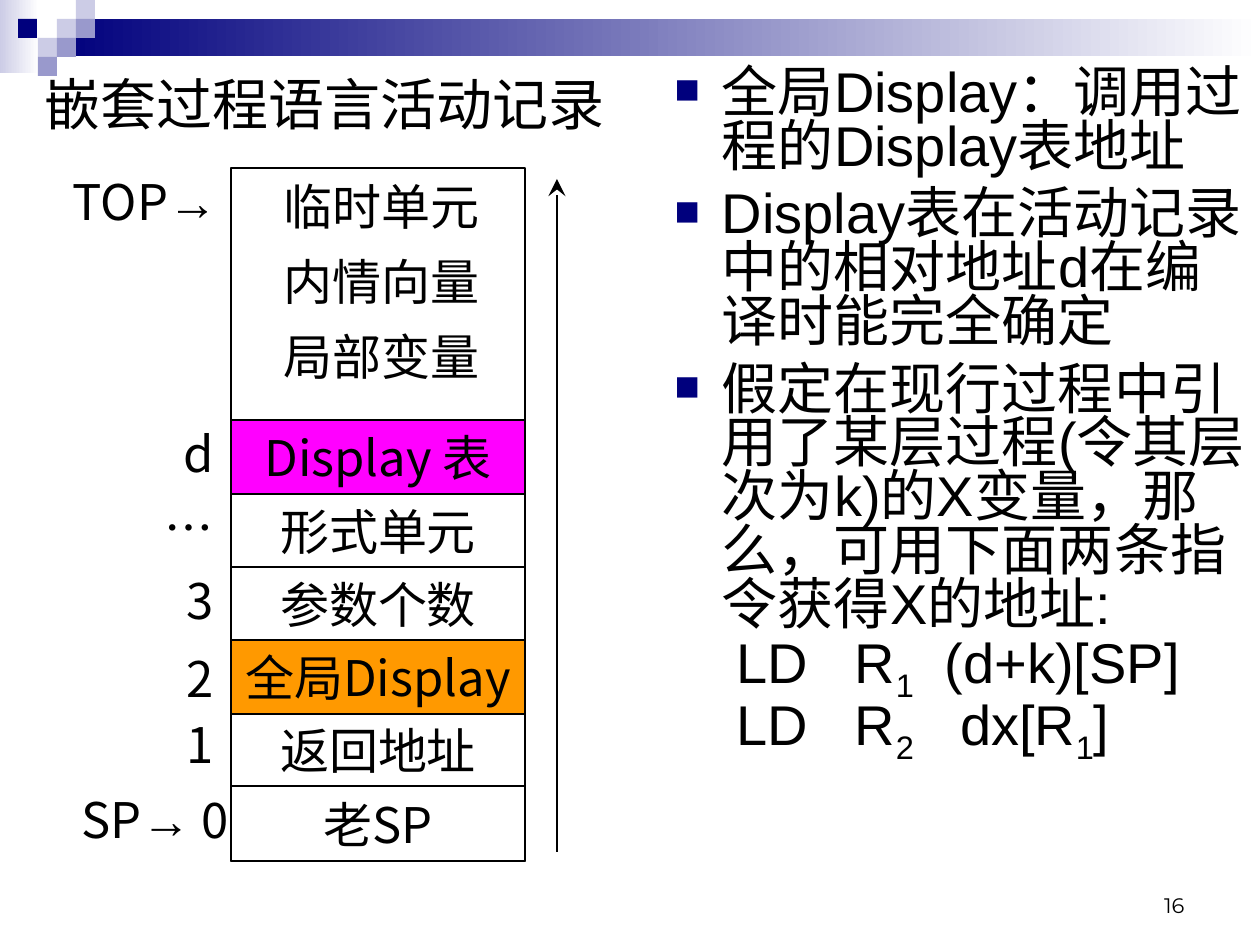
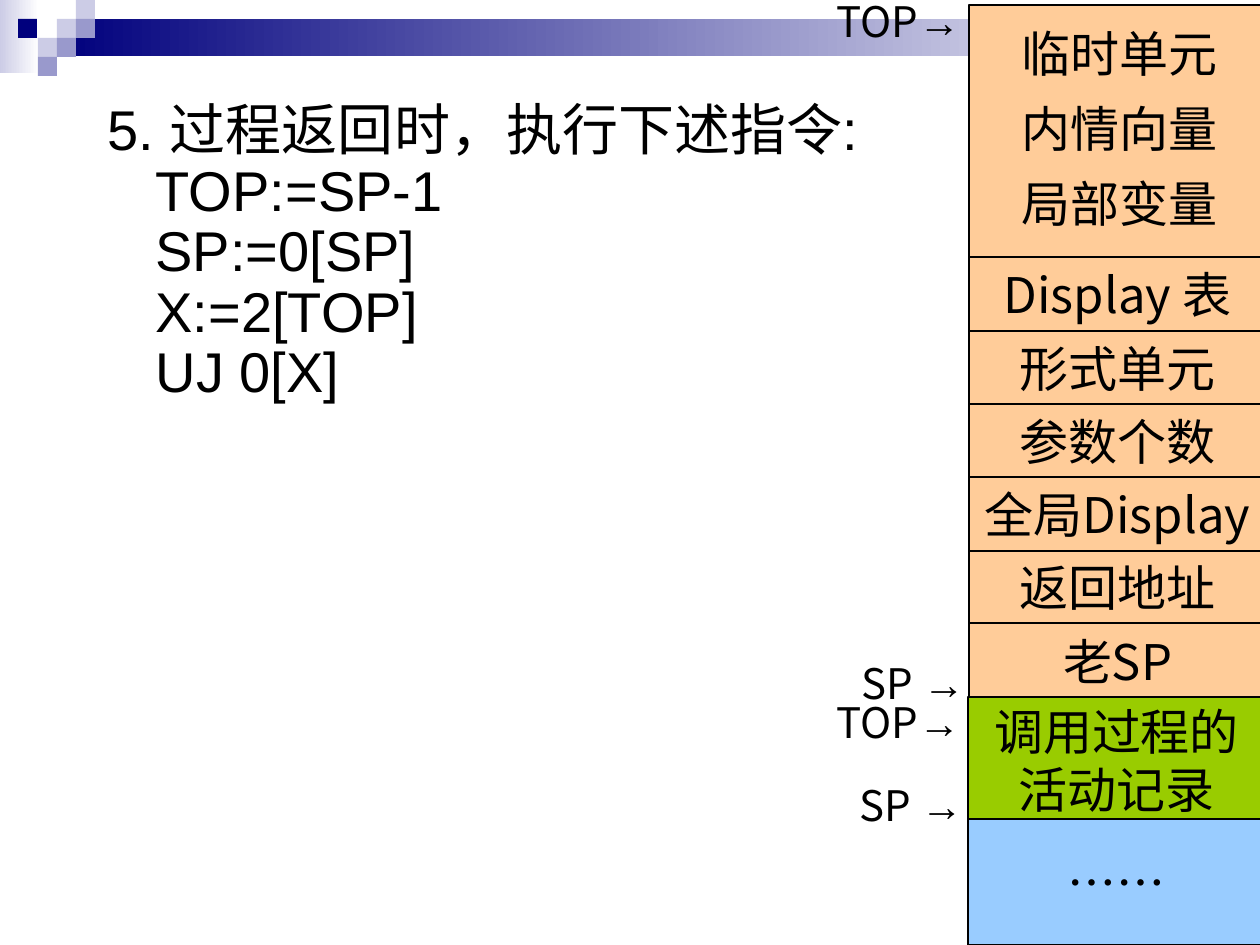
"""Builds two slides on activation records of nested-procedure languages."""
from lxml import etree
from pptx import Presentation
from pptx import util as u
from pptx.dml.color import RGBColor
from pptx.enum import shapes, text as t
from pptx.oxml import parse_xml
from pptx.oxml.ns import nsdecls, qn

PX = 914400 / 126
NAVY = RGBColor(0x00, 0x00, 0x7D)
LILAC = RGBColor(0x99, 0x99, 0xCC)
PALE = RGBColor(0xCC, 0xCC, 0xE6)
WHITE = RGBColor(0xFF, 0xFF, 0xFF)
BLACK = RGBColor(0x00, 0x00, 0x00)
MAGENTA = RGBColor(0xFF, 0x00, 0xFF)
ORANGE = RGBColor(0xFF, 0x99, 0x00)
PEACH = RGBColor(0xFF, 0xCC, 0x99)
GREEN = RGBColor(0x99, 0xCC, 0x00)
SKY = RGBColor(0x99, 0xCC, 0xFF)
CJK = "Noto Sans CJK SC"
LEFT, CENTER, RIGHT = t.PP_ALIGN.LEFT, t.PP_ALIGN.CENTER, t.PP_ALIGN.RIGHT


def write(para, text, size=32, font="Arial", sub=False):
    span = para.add_run()
    span.text = text
    span.font.size = u.Pt(size)
    span.font.name = font
    span.font.bold = False
    span.font.color.rgb = BLACK
    props = span.font._element
    etree.SubElement(props, qn("a:ea"), typeface=CJK)
    if sub:
        props.set("baseline", "-25000")


def add_box(page, place, text="", fill=None, line=0, size=28, font=CJK,
            align=CENTER, anchor=t.MSO_ANCHOR.MIDDLE):
    lengths = [round(length * PX) for length in place]
    if fill is None and not line:
        box = page.shapes.add_textbox(*lengths)
    else:
        box = page.shapes.add_shape(shapes.MSO_SHAPE.RECTANGLE, *lengths)
        box.shadow.inherit = False
        if isinstance(fill, tuple) and len(fill) == 2:
            box.fill.gradient()
            box.fill.gradient_angle = 0
            for stop, color in zip(box.fill.gradient_stops, fill):
                stop.color.rgb = color
        elif fill is not None:
            box.fill.solid()
            box.fill.fore_color.rgb = fill
        else:
            box.fill.background()
        if line:
            box.line.color.rgb = BLACK
            box.line.width = u.Pt(line)
        else:
            box.line.fill.background()
    frame = box.text_frame
    frame.word_wrap = False
    frame.vertical_anchor = anchor
    for number, row in enumerate(text.split("\n") if text else []):
        para = frame.add_paragraph() if number else frame.paragraphs[0]
        para.alignment = align
        for piece in filter(None, row.partition("→")):
            write(para, piece, size=size, font="Arial" if piece == "→" else font)
    return box


deck = Presentation()
deck.slide_width, deck.slide_height = u.Inches(10), u.Inches(7.5)
layout = deck.slide_layouts[1]
record, leave = [deck.slides.add_slide(layout) for _ in range(2)]

decoration = [
    ((0, 0, 39, 73), (PALE, WHITE)),
    ((57, 19, 1203, 37), (NAVY, WHITE)),
]
squares = [(57, 19, PALE), (76, 0, PALE), (76, 19, LILAC), (38, 38, PALE),
           (18, 19, NAVY), (57, 38, LILAC), (38, 57, LILAC)]
decoration += [((left, top, 19, 19), color) for left, top, color in squares]
for number, (place, fill) in enumerate(decoration):
    band = add_box(record, place, fill=fill).element
    band.nvSpPr.cNvPr.id = 20 + number
    deck.slide_master.shapes.element.insert(2 + number, band)

title, body = record.placeholders
title.left, title.top, title.width, title.height = [
    round(length * PX) for length in (32, 63, 640, 105)]
title.text_frame.vertical_anchor = t.MSO_ANCHOR.TOP
title.text_frame.auto_size = t.MSO_AUTO_SIZE.NONE
title.text_frame.paragraphs[0].alignment = LEFT
write(title.text_frame.paragraphs[0], "嵌套过程语言活动记录", font="Times New Roman")
leave.shapes.title.element.getparent().remove(leave.shapes.title.element)

points = [
    "全局Display：调用过程的Display表地址",
    "Display表在活动记录中的相对地址d在编译时能完全确定",
    "假定在现行过程中引用了某层过程(令其层次为k)的X变量，那么，可用下面两条指令获得X的地址:",
]
loads = [
    ["    LD   R", "1", "  (d+k)[SP]"],
    ["    LD   R", "2", "   dx[R", "1", "]"],
]
steps = ["5. 过程返回时，执行下述指令:", "TOP:=SP-1", "SP:=0[SP]", "X:=2[TOP]", "UJ 0[X]"]
bullet = (f'<a:buClr {nsdecls("a")}><a:srgbClr val="{NAVY}"/></a:buClr>',
          f'<a:buSzPct {nsdecls("a")} val="75000"/>',
          f'<a:buChar {nsdecls("a")} char="■"/>')
plain = (f'<a:buNone {nsdecls("a")}/>',)

steps_body = leave.placeholders[1]
lines = [(body, 0.8, [point], bullet, None) for point in points]
lines += [(body, 0.8, pieces, plain, 0) for pieces in loads]
lines += [(steps_body, 0.9, [step], plain, 48 if number else 0)
          for number, step in enumerate(steps)]

for holder, place in ((body, (662, 63, 598, 829)), (steps_body, (95, 96, 850, 723))):
    holder.left, holder.top, holder.width, holder.height = [
        round(length * PX) for length in place]
    holder.text_frame.auto_size = t.MSO_AUTO_SIZE.NONE
for holder, spacing, pieces, marks, margin in lines:
    frame = holder.text_frame
    first = not frame.paragraphs[0].runs
    para = frame.paragraphs[0] if first else frame.add_paragraph()
    props = para._p.get_or_add_pPr()
    props.set("hangingPunct", "0")
    for mark in marks:
        props.append(parse_xml(mark))
    if margin is not None:
        props.set("marL", str(round(margin * PX)))
        props.set("indent", "0")
    para.line_spacing = spacing
    para.space_before = u.Pt(8 if marks is bullet and not first else 0)
    for piece in pieces:
        write(para, piece, sub=piece in ("1", "2"))

cells = ["Display 表", "形式单元", "参数个数", "全局Display", "返回地址", "老SP"]
edges = [252, 326, 399, 472, 546, 618, 693]
variables = ["临时单元", "内情向量", "局部变量"]
accents = {"Display 表": MAGENTA, "全局Display": ORANGE}
stacks = [(record, 231, 168, 294, 0, None, accents), (leave, 969, 5, 297, 10, PEACH, {})]
for page, left, top, width, drop, fill, marked in stacks:
    add_box(page, (left, top, width, edges[-1]), fill=fill, line=1.5)
    for name, start, end in zip(cells, edges, edges[1:]):
        add_box(page, (left, top + start, width, end - start), name,
                fill=marked.get(name, fill), line=1.5)
    for number, name in enumerate(variables):
        add_box(page, (left, top + drop + 75 * number, 301, 75), name)

for label, top in (("d", 420), ("…", 494), ("3", 567), ("2", 645), ("1", 711)):
    add_box(record, (147, top, 79, 66), label, align=RIGHT)
add_box(record, (55, 786, 200, 66), "SP→ 0")
add_box(record, (45, 168, 200, 66), "TOP→")
add_box(record, (903, 861, 294, 63), "16", size=12, font="Montserrat",
        align=RIGHT, anchor=t.MSO_ANCHOR.BOTTOM)

growth = record.shapes.add_connector(
    shapes.MSO_CONNECTOR.STRAIGHT, *[round(end * PX) for end in (557, 852, 557, 179)])
growth.line.color.rgb = BLACK
growth.line.width = u.Pt(1.5)
outline = growth.element.spPr
etree.SubElement(outline.find(qn("a:ln")), qn("a:tailEnd"), type="stealth", w="lg", len="lg")
etree.SubElement(outline, qn("a:effectLst"))

for label, left, top in (("TOP→", 809, 0), ("SP →", 824, 662),
                         ("TOP→", 809, 701), ("SP →", 822, 784)):
    add_box(leave, (left, top, 179, 42), label, size=24)
add_box(leave, (968, 697, 297, 126), "调用过程的\n活动记录", fill=GREEN, line=1)
add_box(leave, (968, 819, 297, 126), "……", fill=SKY, line=1)

deck.save("out.pptx")
